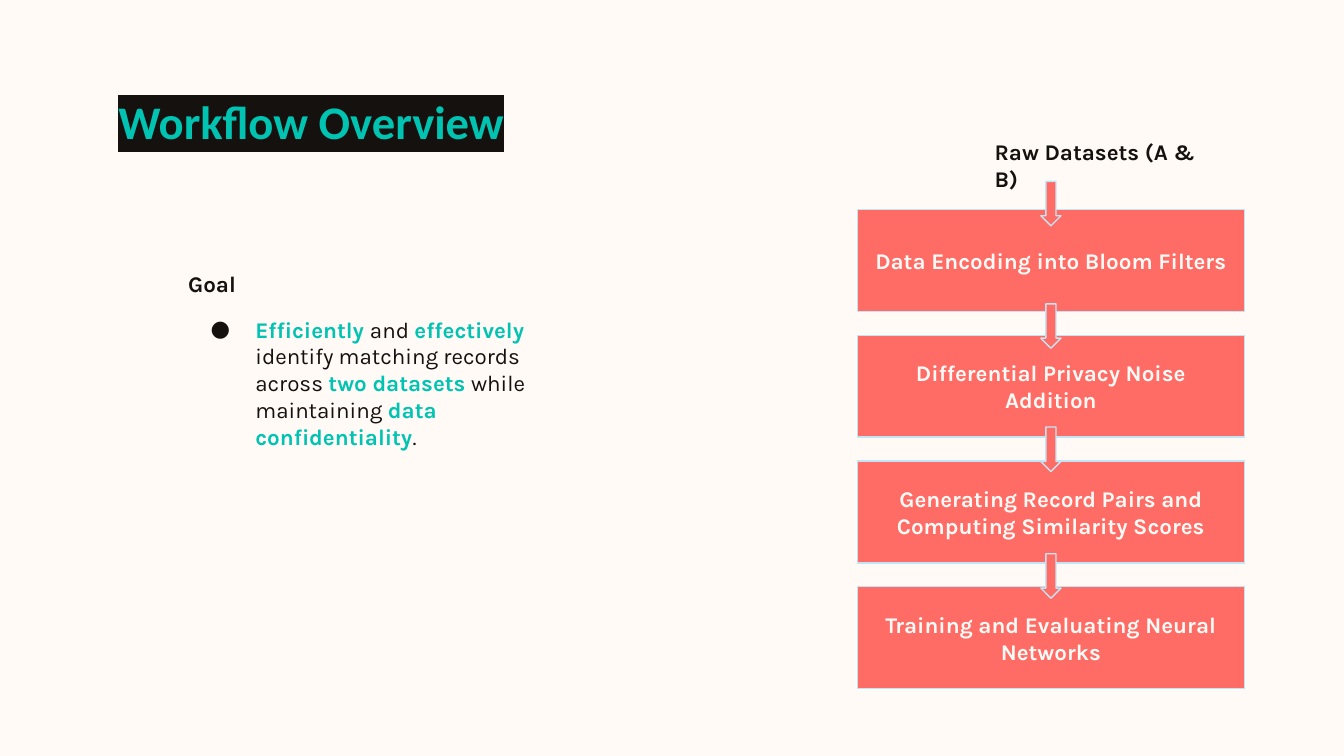
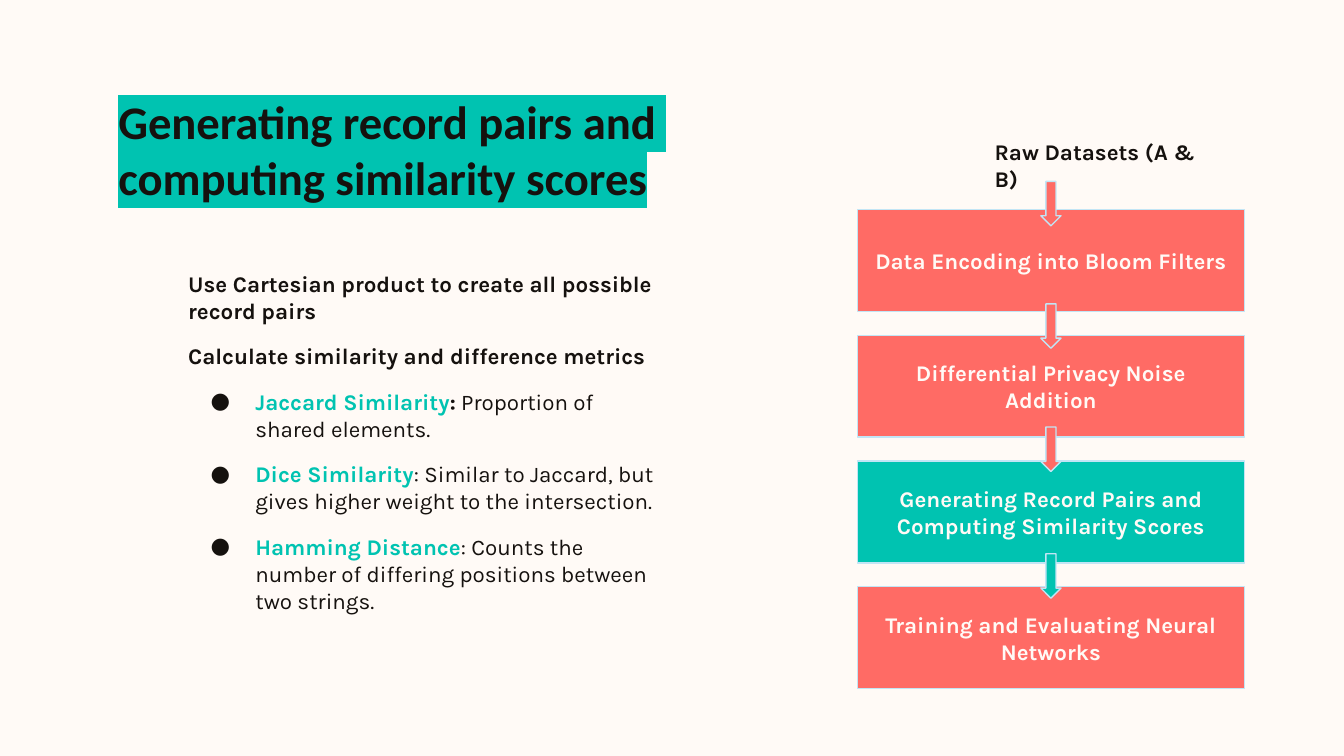
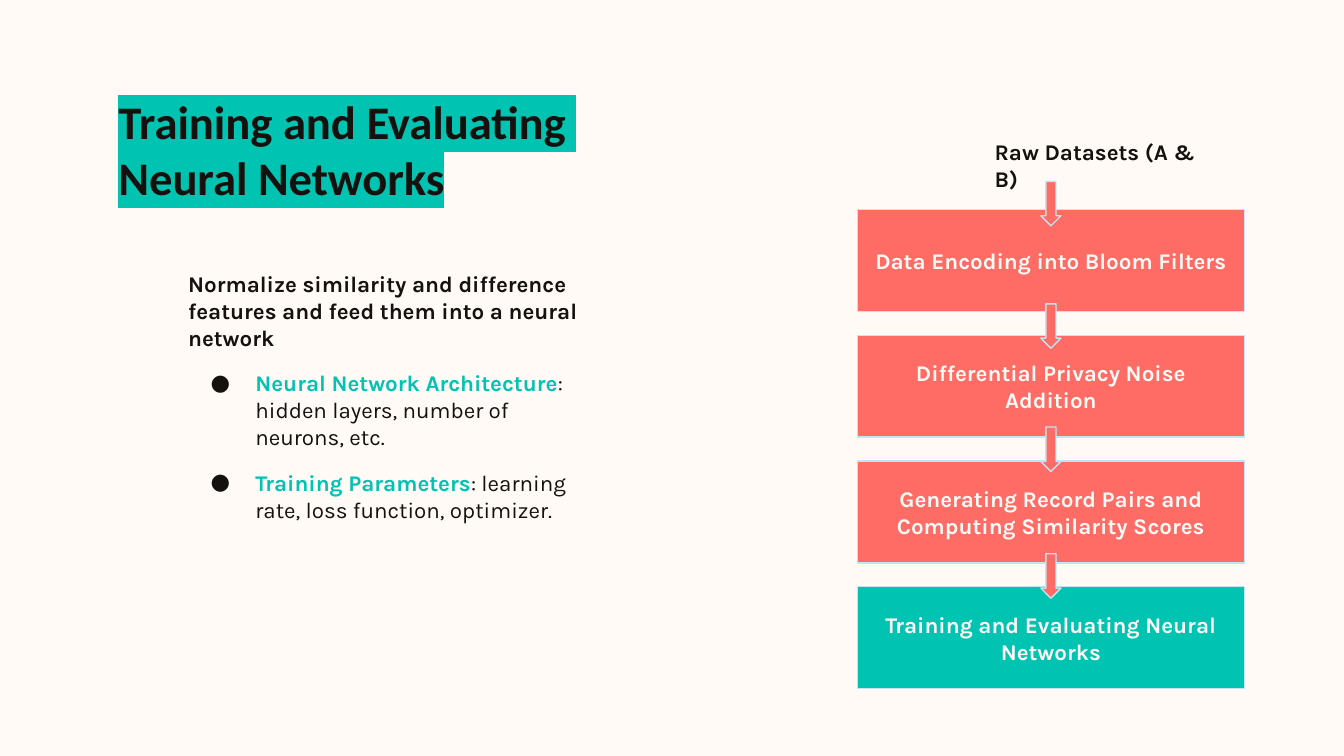
from dataclasses import dataclass

from lxml.etree import SubElement
from pptx import Presentation
from pptx.dml.color import RGBColor
from pptx.enum.shapes import MSO_SHAPE
from pptx.enum.text import MSO_ANCHOR, MSO_AUTO_SIZE, PP_ALIGN
from pptx.oxml.ns import qn
from pptx.util import Pt


@dataclass(frozen=True)
class Theme:
    paper: str = "FFFAF6"
    ink: str = "15110E"
    teal: str = "00C3B1"
    coral: str = "FF6B65"
    edge: str = "C2E5F5"
    title_font: str = "Calibri"
    body_font: str = "Karla"
    title_size: int = 25
    body_size: int = 12
    inset: float = 7.2
    edge_width: float = 0.75


T = Theme()
BODY_LEFT, BODY_TOP = 93.6, 137.5
STEP_LEFT, STEP_TOP, STEP_PITCH, STEP_W, STEP_H = 459.4, 112.2, 67.4, 207.2, 54.6
ARROW_W, ARROW_H = 10.8, 23.8
ARROW_LEFT = STEP_LEFT + (STEP_W - ARROW_W) / 2
ARROW_TOPS = [97.2, 162.8, 228.8, 296.7]
STEPS = [
    "Data Encoding into Bloom Filters",
    "Differential Privacy Noise Addition",
    "Generating Record Pairs and Computing Similarity Scores",
    "Training and Evaluating Neural Networks",
]

# Run styles: colour, bold
HEAD, PLAIN, KEY = (T.ink, True), (T.ink, False), (T.teal, True)

# Each body paragraph: bulleted or not, then its runs
SLIDES = [
    {
        "title": ["Workflow Overview"], "title_colors": (T.teal, T.ink),
        "active": None, "body_size": (229, 171.4),
        "body": [
            (False, [("Goal", HEAD)]),
            (True, [("Efficiently ", KEY), ("and ", PLAIN), ("effectively ", KEY),
                    ("identify matching records across ", PLAIN), ("two datasets", KEY),
                    (" while maintaining ", PLAIN), ("data confidentiality", KEY),
                    (".", PLAIN)]),
        ],
    },
    {
        "title": ["Generating record pairs and ", "computing similarity scores"],
        "title_colors": (T.ink, T.teal),
        "active": 2, "body_size": (270.7, 206),
        "body": [
            (False, [("Use Cartesian product to create all possible record pairs", HEAD)]),
            (False, [("Calculate similarity and difference metrics", HEAD)]),
            (True, [("Jaccard Similarity", KEY), (":", HEAD),
                    (" Proportion of shared elements.", PLAIN)]),
            (True, [("Dice Similarity", KEY),
                    (": Similar to Jaccard, but gives higher weight to the intersection.", PLAIN)]),
            (True, [("Hamming Distance", KEY),
                    (": Counts the number of differing positions between two strings.", PLAIN)]),
        ],
    },
    {
        "title": ["Training and Evaluating ", "Neural Networks"],
        "title_colors": (T.ink, T.teal),
        "active": 3, "body_size": (229, 171.4),
        "body": [
            (False, [("Normalize similarity and difference features and feed them "
                      "into a neural network", HEAD)]),
            (True, [("Neural Network Architecture", KEY),
                    (": hidden layers, number of neurons, etc.", PLAIN)]),
            (True, [("Training Parameters", KEY),
                    (": learning rate, loss function, optimizer.", PLAIN)]),
        ],
    },
]


def set_frame(sp, left, top, width, height, anchor=MSO_ANCHOR.TOP):
    """Place a shape and prepare its text frame."""
    sp.left, sp.top, sp.width, sp.height = Pt(left), Pt(top), Pt(width), Pt(height)
    tf = sp.text_frame
    tf.word_wrap, tf.auto_size, tf.vertical_anchor = True, MSO_AUTO_SIZE.NONE, anchor
    tf.margin_left = tf.margin_right = tf.margin_top = tf.margin_bottom = Pt(T.inset)
    return tf


def fill_paragraph(tf, i, runs, bullet=False, before=0, align=PP_ALIGN.LEFT,
                   font=T.body_font, size=T.body_size, highlight=None):
    """Write paragraph i run by run."""
    p = tf.paragraphs[0] if i == 0 else tf.add_paragraph()
    p.alignment, p.space_before = align, Pt(before)
    pPr = p._p.get_or_add_pPr()
    pPr.set("marL", str(Pt(36) if bullet else 0))
    pPr.set("indent", str(Pt(-24) if bullet else 0))
    if bullet:
        SubElement(SubElement(pPr, qn("a:buClr")), qn("a:srgbClr"), val=T.ink)
        SubElement(pPr, qn("a:buFont"), typeface=font)
        SubElement(pPr, qn("a:buChar"), char="●")
    else:
        SubElement(pPr, qn("a:buNone"))
    for text, (color, bold) in runs:
        r = p.add_run()
        r.text = text
        r.font.size, r.font.bold = Pt(size), bold
        r.font.color.rgb = RGBColor.from_string(color)
        if highlight:
            mark = SubElement(r.font._element, qn("a:highlight"))
            SubElement(mark, qn("a:srgbClr"), val=highlight)
        r.font.name = font


prs = Presentation()
prs.slide_width, prs.slide_height = Pt(720), Pt(405)
bg = prs.slide_master.background.fill
bg.solid()
bg.fore_color.rgb = RGBColor.from_string(T.paper)

for data in SLIDES:
    s = prs.slides.add_slide(prs.slide_layouts[3])

    # Title
    tf = set_frame(s.shapes.title, 56.2, 42.5, 607.7, 43.2)
    color, highlight = data["title_colors"]
    for i, line in enumerate(data["title"]):
        fill_paragraph(tf, i, [(line, (color, True))], font=T.title_font,
                       size=T.title_size, highlight=highlight)

    # Explanation
    tf = set_frame(s.placeholders[1], BODY_LEFT, BODY_TOP, *data["body_size"])
    for i, (bullet, runs) in enumerate(data["body"]):
        fill_paragraph(tf, i, runs, bullet, before=10)

    # Workflow input
    tf = set_frame(s.placeholders[2], 525.6, 67, 137.5, 32.4)
    fill_paragraph(tf, 0, [("Raw Datasets (A & B)", HEAD)])

    # Workflow steps, then the arrows over them; the active step colours its outgoing arrow
    boxes = [(MSO_SHAPE.RECTANGLE, STEP_LEFT, STEP_TOP + i * STEP_PITCH, STEP_W, STEP_H,
              text, i == data["active"]) for i, text in enumerate(STEPS)]
    arrows = [(MSO_SHAPE.DOWN_ARROW, ARROW_LEFT, top, ARROW_W, ARROW_H,
               None, i - 1 == data["active"]) for i, top in enumerate(ARROW_TOPS)]
    for kind, left, top, width, height, text, active in boxes + arrows:
        sp = s.shapes.add_shape(kind, Pt(left), Pt(top), Pt(width), Pt(height))
        sp.shadow.inherit = False
        sp.fill.solid()
        sp.fill.fore_color.rgb = RGBColor.from_string(T.teal if active else T.coral)
        sp.line.color.rgb = RGBColor.from_string(T.edge)
        sp.line.width = Pt(T.edge_width)
        if text:
            tf = set_frame(sp, left, top, width, height, MSO_ANCHOR.MIDDLE)
            fill_paragraph(tf, 0, [(text, (T.paper, True))], align=PP_ALIGN.CENTER)

prs.save("out.pptx")
